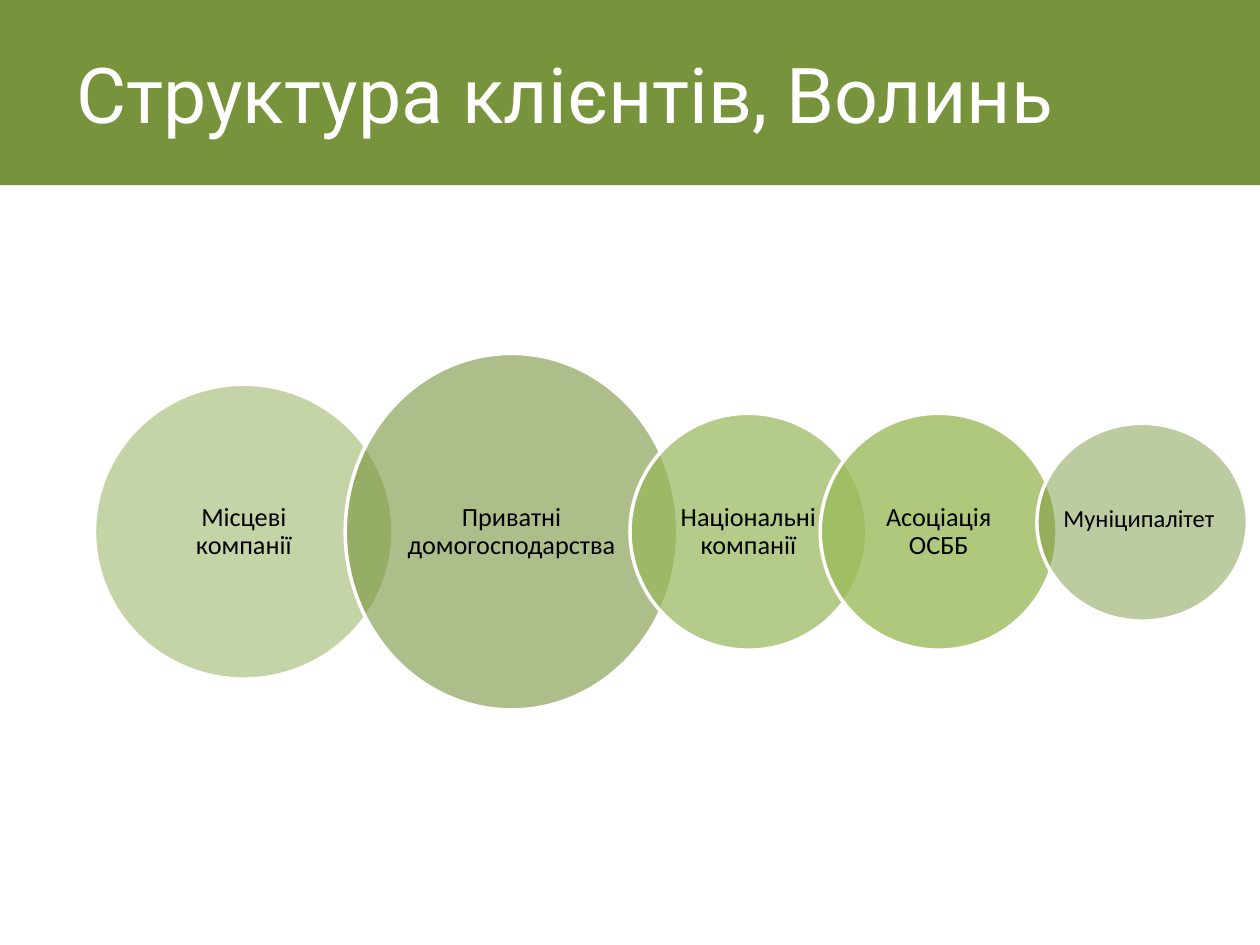
import math
from dataclasses import dataclass

import pptx
import pptx.dml.color
import pptx.enum.shapes
import pptx.enum.text
import pptx.oxml
import pptx.oxml.ns
import pptx.util

RGBColor = pptx.dml.color.RGBColor
Align = pptx.enum.text.PP_ALIGN
Anchor = pptx.enum.text.MSO_ANCHOR
Shape = pptx.enum.shapes.MSO_SHAPE

OLIVE = RGBColor(0x77, 0x93, 0x3C)
MOSS = RGBColor(0x8D, 0xAA, 0x51)
LEAF = RGBColor(0x97, 0xB6, 0x57)
LIME = RGBColor(0x9B, 0xBB, 0x5A)
WHITE = RGBColor(0xFF, 0xFF, 0xFF)
BLACK = RGBColor(0x00, 0x00, 0x00)

COLUMNS, ROWS = 100, 75
CHAIN_MIDDLE = 42.2
INSCRIBED = 1 / math.sqrt(2)


@dataclass(frozen=True)
class Box:
    column: float
    row: float
    columns: float
    rows: float

    def inscribed(self) -> "Box":
        columns, rows = self.columns * INSCRIBED, self.rows * INSCRIBED
        return Box(self.column + (self.columns - columns) / 2,
                   self.row + (self.rows - rows) / 2, columns, rows)


@dataclass(frozen=True)
class TextStyle:
    font: str
    size: float
    color: RGBColor
    align: Align
    anchor: Anchor
    vertical_inset: float
    line_spacing: float = 1.0
    wrap: bool = True


@dataclass(frozen=True)
class Client:
    name: str
    column: float
    columns: float
    rows: float
    color: RGBColor
    opacity: int

    def box(self) -> Box:
        return Box(self.column, CHAIN_MIDDLE - self.rows / 2, self.columns, self.rows)


TITLE = TextStyle("Roboto", 44, WHITE, Align.LEFT, Anchor.BOTTOM, 0.1)
CHAIN_LABEL = TextStyle("Calibri", 15, BLACK, Align.CENTER, Anchor.MIDDLE, 0.02, 0.9)
CITY_LABEL = TextStyle("Calibri", 14, BLACK, Align.CENTER, Anchor.TOP, 0.05, wrap=False)

CHAIN = (
    Client("Місцеві компанії", 7.5, 23.7, 23.4, MOSS, 50),
    Client("Приватні домогосподарства", 27.4, 26.4, 28.3, OLIVE, 60),
    Client("Національні компанії", 50, 18.8, 18.8, LEAF, 70),
    Client("Асоціація ОСББ", 65.1, 18.8, 18.8, LIME, 80),
)


def place(box: Box, width: int, height: int) -> tuple[int, int, int, int]:
    return (round(box.column / COLUMNS * width), round(box.row / ROWS * height),
            round(box.columns / COLUMNS * width), round(box.rows / ROWS * height))


def set_all(target: object, values: dict) -> None:
    for key, value in values.items():
        setattr(target, key, value)


def add_circle(shapes, position: tuple, color: RGBColor, opacity: int) -> None:
    circle = shapes.add_shape(Shape.OVAL, *position)
    circle.shadow.inherit = False
    circle.fill.solid()
    circle.fill.fore_color.rgb = color
    rgb = circle.fill._xPr.find(".//" + pptx.oxml.ns.qn("a:srgbClr"))
    alpha = pptx.oxml.parse_xml(
        f'<a:alpha {pptx.oxml.ns.nsdecls("a")} val="{opacity * 1000}"/>')
    rgb.append(alpha)
    circle.line.color.rgb = WHITE
    circle.line.width = pptx.util.Pt(2)


def add_text(shapes, position: tuple, words: str, style: TextStyle) -> None:
    frame = shapes.add_textbox(*position).text_frame
    side, vertical = pptx.util.Inches(0.1), pptx.util.Inches(style.vertical_inset)
    set_all(frame, {
        "word_wrap": style.wrap, "vertical_anchor": style.anchor,
        "margin_left": side, "margin_right": side,
        "margin_top": vertical, "margin_bottom": vertical,
    })
    paragraph = frame.paragraphs[0]
    set_all(paragraph, {"alignment": style.align, "line_spacing": style.line_spacing})
    run = paragraph.add_run()
    run.text = words
    set_all(run.font, {"name": style.font, "size": pptx.util.Pt(style.size)})
    run.font.color.rgb = style.color


def main() -> None:
    deck = pptx.Presentation()
    width, height = pptx.util.Inches(10), pptx.util.Inches(7.5)
    set_all(deck, {"slide_width": width, "slide_height": height})
    shapes = deck.slides.add_slide(deck.slide_layouts[6]).shapes

    banner = shapes.add_shape(
        Shape.RECTANGLE, *place(Box(0, 0, COLUMNS, 14.7), width, height))
    banner.shadow.inherit = False
    banner.fill.solid()
    banner.fill.fore_color.rgb = OLIVE
    banner.line.fill.background()
    add_text(shapes, place(Box(5.1, 2.7, 86.6, 9.3), width, height),
             "Структура клієнтів, Волинь", TITLE)

    chain = shapes.add_group_shape().shapes
    for client in CHAIN:
        box = client.box()
        add_circle(chain, place(box, width, height), client.color, client.opacity)
        add_text(chain, place(box.inscribed(), width, height), client.name, CHAIN_LABEL)

    add_circle(shapes, place(Box(82.3, 33.6, 16.7, 15.7), width, height), OLIVE, 48)
    add_text(shapes, place(Box(83.1, 39.4, 14.6, 3.4), width, height),
             "Муніципалітет", CITY_LABEL)

    deck.save("out.pptx")


if __name__ == "__main__":
    main()
